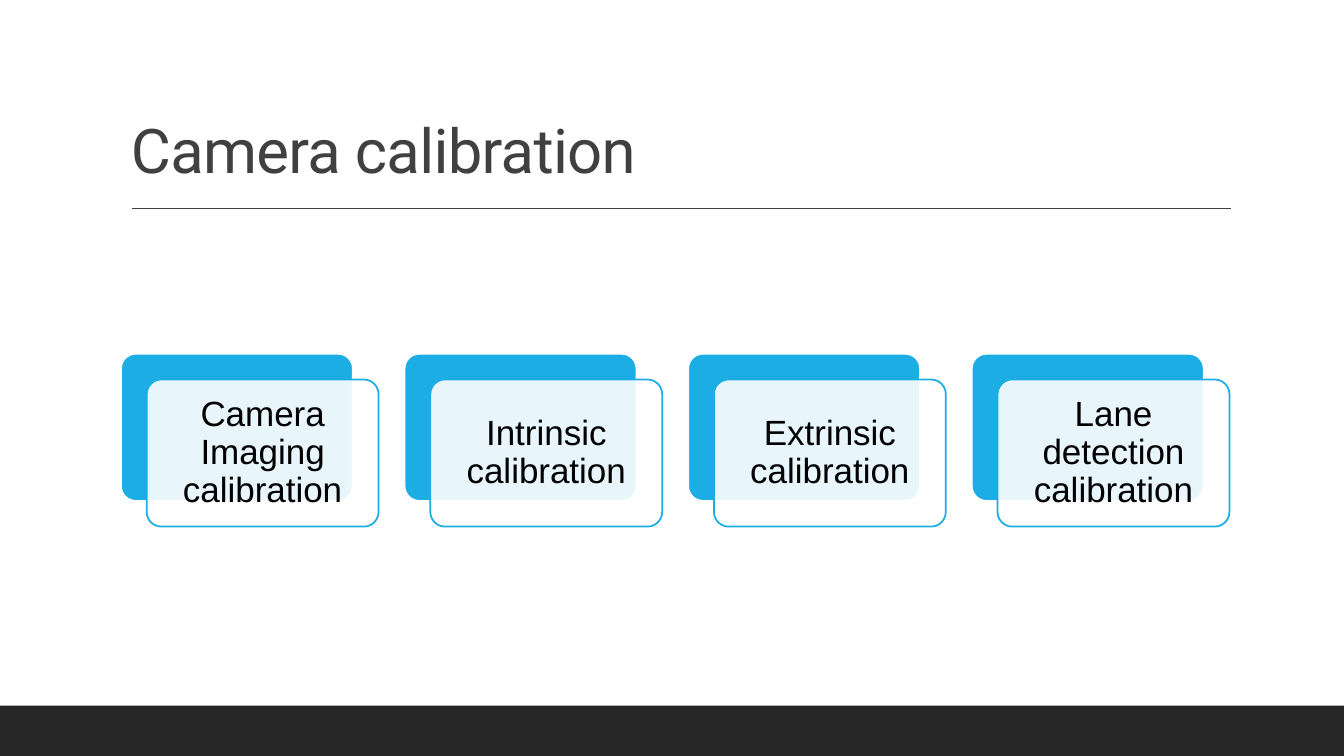
from lxml.etree import SubElement
from pptx import Presentation
from pptx.dml.color import RGBColor
from pptx.enum.shapes import MSO_CONNECTOR, MSO_SHAPE
from pptx.enum.text import MSO_ANCHOR, PP_ALIGN
from pptx.oxml.ns import qn
from pptx.util import Inches, Pt

WHITE, BLUE, BLACK = "FFFFFF", "1CADE4", "000000"
TITLE_GRAY, FOOTER_GRAY = "404040", "262626"
STEPS = ["Camera Imaging calibration", "Intrinsic calibration",
         "Extrinsic calibration", "Lane detection calibration"]
STEP_LEFT, STEP_TOP, STEP_PITCH = 1.2, 3.51, 2.813
CARD_WIDTH, CARD_HEIGHT = 2.3, 1.46
CARD_OFFSET, TEXT_INSET = 0.255, 0.04


def color(hex_string):
    return RGBColor.from_string(hex_string)


def write_text(shape, text, font="Arial", size=25, fill=BLACK, spacing=None,
               align=PP_ALIGN.LEFT, anchor=MSO_ANCHOR.MIDDLE, vertical_margin=0.1):
    """Fill the shape with one paragraph; spacing is between letters, in points."""
    frame = shape.text_frame
    frame.word_wrap = True
    frame.vertical_anchor = anchor
    frame.margin_left = frame.margin_right = Inches(0.1)
    frame.margin_top = frame.margin_bottom = Inches(vertical_margin)
    paragraph = frame.paragraphs[0]
    paragraph.alignment = align
    paragraph.line_spacing = 0.9
    run = paragraph.add_run()
    run.text = text
    run.font.name = font
    run.font.size = Pt(size)
    run.font.color.rgb = color(fill)
    if spacing is not None:
        run.font._element.set("spc", str(int(spacing * 100)))


class SlideBuilder:
    def __init__(self, slide):
        self.slide = slide
        self.shapes = slide.shapes

    def background(self, fill):
        self.slide.background.fill.solid()
        self.slide.background.fill.fore_color.rgb = color(fill)

    def box(self, left, top, width, height, fill, line=None, opacity=100,
            kind=MSO_SHAPE.RECTANGLE, shapes=None):
        shape = (shapes or self.shapes).add_shape(
            kind, Inches(left), Inches(top), Inches(width), Inches(height))
        shape.shadow.inherit = False
        shape.fill.solid()
        shape.fill.fore_color.rgb = color(fill)
        if opacity < 100:
            fill_color = shape._element.spPr.find(qn("a:solidFill"))[0]
            SubElement(fill_color, qn("a:alpha"), val=str(opacity * 1000))
        if line:
            shape.line.color.rgb = color(line)
            shape.line.width = Pt(1.25)
        else:
            shape.line.fill.background()
        return shape

    def text(self, left, top, width, height, text, shapes=None, **text_format):
        shape = (shapes or self.shapes).add_textbox(
            Inches(left), Inches(top), Inches(width), Inches(height))
        write_text(shape, text, **text_format)

    def rule(self, left, right, top):
        line = self.shapes.add_connector(
            MSO_CONNECTOR.STRAIGHT, Inches(left), Inches(top), Inches(right), Inches(top))
        line.line.color.rgb = color(TITLE_GRAY)
        line.line.width = Pt(0.75)
        SubElement(line._element.spPr, qn("a:effectLst"))

    def step(self, left, top, text, shapes):
        """Draw a blue card with a translucent, labelled card in front of it."""
        front_left, front_top = left + CARD_OFFSET, top + CARD_OFFSET
        for x, y, fill, line, opacity in (
                (left, top, BLUE, WHITE, 100),
                (front_left, front_top, WHITE, BLUE, 90)):
            card = self.box(x, y, CARD_WIDTH, CARD_HEIGHT, fill, line, opacity,
                            MSO_SHAPE.ROUNDED_RECTANGLE, shapes)
            card.adjustments[0] = 0.1
        self.text(front_left + TEXT_INSET, front_top + TEXT_INSET,
                  CARD_WIDTH - 2 * TEXT_INSET, CARD_HEIGHT - 2 * TEXT_INSET,
                  text, shapes, align=PP_ALIGN.CENTER)


def main():
    presentation = Presentation()
    presentation.slide_width = Inches(13.33)
    presentation.slide_height = Inches(7.5)
    builder = SlideBuilder(presentation.slides.add_slide(presentation.slide_layouts[6]))

    builder.background(WHITE)
    builder.text(1.2, 0.31, 11, 1.59, "Camera calibration", font="Roboto", size=44,
                 fill=TITLE_GRAY, spacing=-0.5, anchor=MSO_ANCHOR.BOTTOM,
                 vertical_margin=0.05)
    builder.rule(1.31, 12.21, 2.07)
    builder.box(0, 7, 13.33, 0.5, FOOTER_GRAY)

    steps_group = builder.shapes.add_group_shape()
    for index, step_text in enumerate(STEPS):
        builder.step(STEP_LEFT + index * STEP_PITCH, STEP_TOP, step_text,
                     steps_group.shapes)

    presentation.save("out.pptx")


if __name__ == "__main__":
    main()
